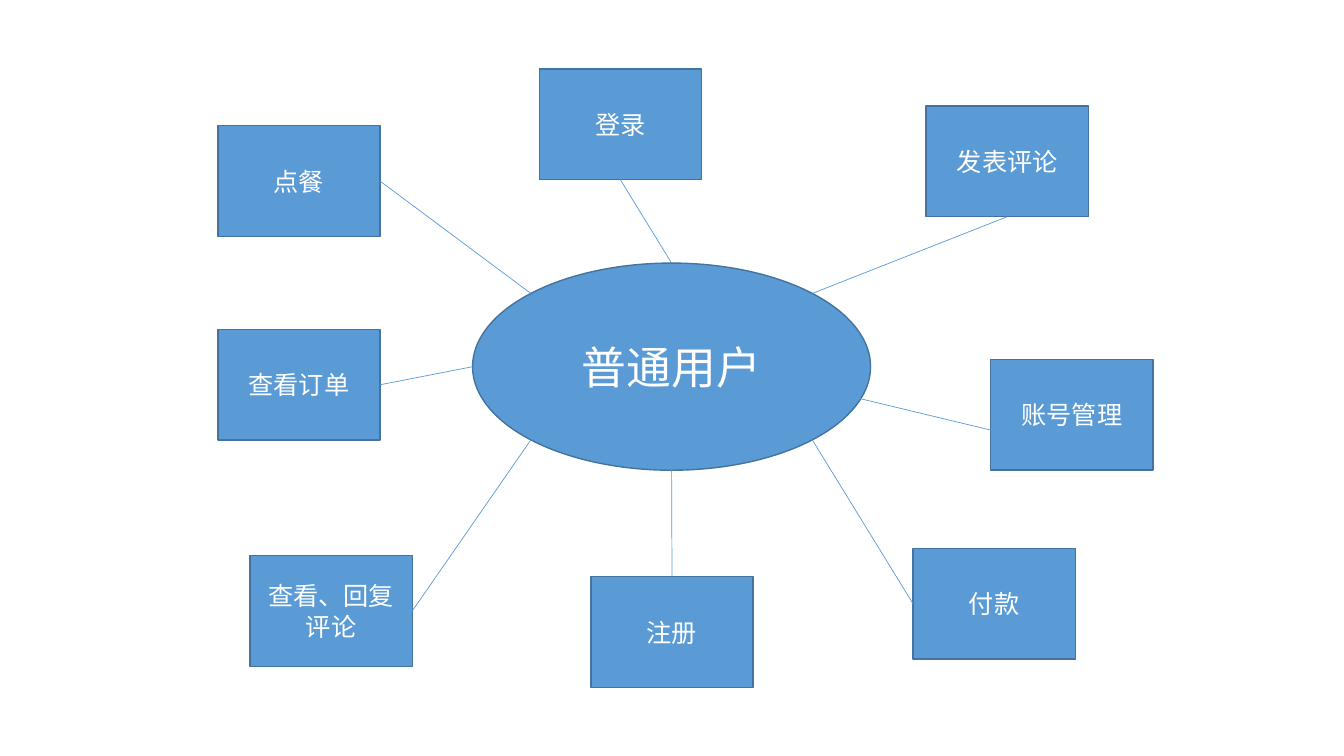
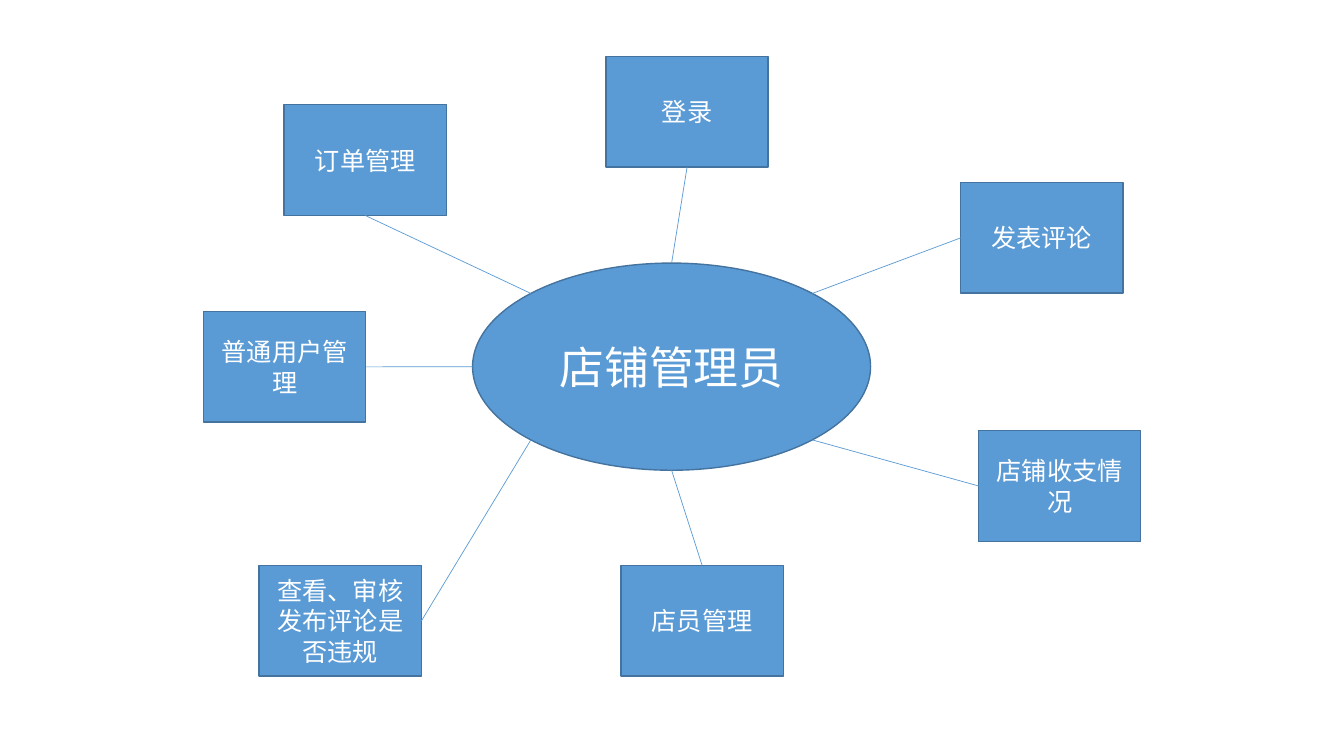
"""Two use-case maps: a central role with its functions around it."""
import math

import lxml.etree
import pptx
import pptx.dml.color
import pptx.enum.shapes
import pptx.enum.text
import pptx.oxml.ns
import pptx.util

Cm = pptx.util.Cm
SHAPES = pptx.enum.shapes.MSO_SHAPE
STRAIGHT = pptx.enum.shapes.MSO_CONNECTOR.STRAIGHT

# Connection sites, numbered counter-clockwise from the top
BOX_SITE = {"top": 0, "left": 1, "bottom": 2, "right": 3}
ROLE_SITE = {"top": 0, "top left": 1, "left": 2, "bottom left": 3,
             "bottom": 4, "bottom right": 5, "right": 6, "top right": 7}


def colour(code):
    """Turn a hex string into a colour."""
    return pptx.dml.color.RGBColor.from_string(code)


def apply(target, formats):
    """Set each format value on the target."""
    for name, value in formats.items():
        setattr(target, name, value)


class RoleMap:
    """Holds the style and the current slide."""

    FILL, BORDER, TEXT = "5B9BD5", "43739E", "FFFFFF"
    FONT = "Calibri"
    ROLE_FRAME = (11.91, 6.63, 10.03, 5.22)
    BOX_SIZE = (4.09, 2.79)

    def __init__(self):
        """Start a widescreen deck."""
        self.deck = pptx.Presentation()
        apply(self.deck, {"slide_width": Cm(33.87), "slide_height": Cm(19.05)})
        self.page = None
        self.role = None

    def add_page(self, role):
        """Add a blank slide with the role in its centre."""
        self.page = self.deck.slides.add_slide(self.deck.slide_layouts[6])
        self.role = self.add_label(SHAPES.OVAL, self.ROLE_FRAME, role, 32)

    def add_label(self, kind, frame, text, size):
        """Draw a filled shape with centred text."""
        shape = self.page.shapes.add_shape(kind, *map(Cm, frame))
        shape.shadow.inherit = False
        shape.fill.solid()
        shape.fill.fore_color.rgb = colour(self.FILL)
        shape.line.color.rgb = colour(self.BORDER)
        shape.line.width = pptx.util.Pt(1)
        apply(shape.text_frame, {
            "word_wrap": True,
            "vertical_anchor": pptx.enum.text.MSO_ANCHOR.MIDDLE})
        para = shape.text_frame.paragraphs[0]
        para.alignment = pptx.enum.text.PP_ALIGN.CENTER
        span = para.add_run()
        span.text = text
        apply(span.font, {"name": self.FONT, "size": pptx.util.Pt(size)})
        span.font.color.rgb = colour(self.TEXT)
        return shape

    def add_line(self, *ends):
        """Draw a thin line between two points."""
        line = self.page.shapes.add_connector(STRAIGHT, *ends)
        line.line.color.rgb = colour(self.FILL)
        line.line.width = pptx.util.Pt(0.5)
        lxml.etree.SubElement(line._element.spPr,
                              pptx.oxml.ns.qn("a:effectLst"))
        return line

    def role_point(self, site):
        """Return the place of a connection site on the role's ellipse."""
        angle = math.radians(90 + 45 * site)
        role = self.role
        return (int(role.left + role.width / 2 * (1 + math.cos(angle))),
                int(role.top + role.height / 2 * (1 - math.sin(angle))))

    def add_function(self, text, left, top, box_side=None, role_side=None):
        """Draw a function box and, if sides are given, tie it to the role."""
        box = self.add_label(SHAPES.RECTANGLE, (left, top, *self.BOX_SIZE),
                             text, 18)
        if box_side is None:
            return
        site = ROLE_SITE[role_side]
        line = self.add_line(box.left, box.top, *self.role_point(site))
        line.begin_connect(box, BOX_SITE[box_side])
        lxml.etree.SubElement(line._element.nvCxnSpPr.cNvCxnSpPr,
                              pptx.oxml.ns.qn("a:endCxn"),
                              id=str(self.role.shape_id), idx=str(site))


CUSTOMER = [
    ("点餐", 5.49, 3.17, "right", "top left"),
    ("查看、回复评论", 6.3, 14.0, "right", "bottom left"),
    ("发表评论", 23.34, 2.67, "bottom", "top right"),
    ("注册", 14.89, 14.53, "top", "bottom"),
    ("登录", 13.59, 1.74, "bottom", "top"),
    ("账号管理", 24.97, 9.06),
    ("查看订单", 5.49, 8.3, "right", "left"),
    ("付款", 23.01, 13.82, "left", "bottom right"),
]
MANAGER = [
    ("订单管理", 7.16, 2.64, "bottom", "top left"),
    ("查看、审核发布评论是否违规", 6.53, 14.25, "right", "bottom left"),
    ("发表评论", 24.21, 4.6, "left", "top right"),
    ("店员管理", 15.65, 14.25, "top", "bottom"),
    ("登录", 15.27, 1.42, "bottom", "top"),
    ("普通用户管理", 5.13, 7.85, "right", "left"),
    ("店铺收支情况", 24.66, 10.85, "left", "bottom right"),
]

maps = RoleMap()

maps.add_page("普通用户")
for function in CUSTOMER:
    maps.add_function(*function)
# The account line runs freely from inside the ellipse into its box
maps.add_line(Cm(21.2), Cm(9.93), Cm(25.43), Cm(10.95))

maps.add_page("店铺管理员")
for function in MANAGER:
    maps.add_function(*function)

maps.deck.save("out.pptx")
